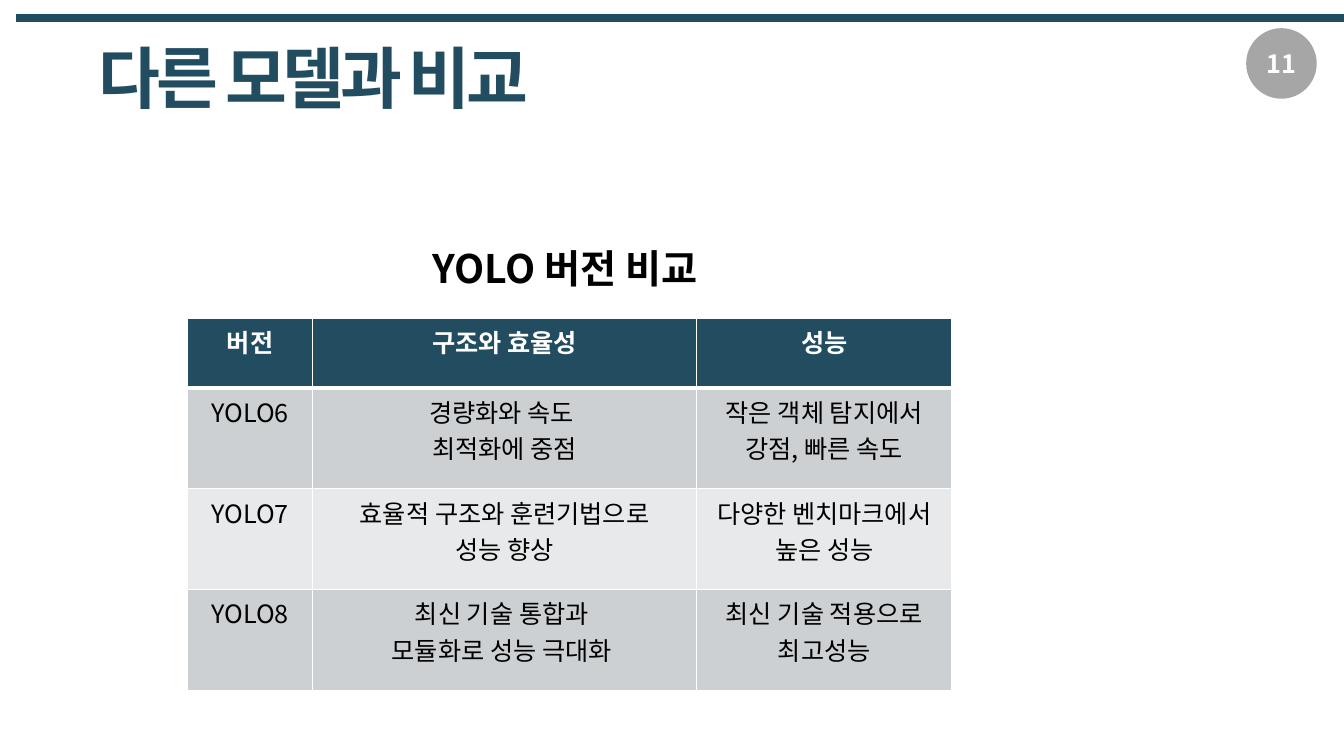
from dataclasses import dataclass
from lxml import etree
from pptx import Presentation, util as u
from pptx.dml.color import RGBColor
from pptx.enum import shapes, text
from pptx.oxml import ns

TITLE = "다른 모델과 비교"
PAGE = "11"
CAPTION = "YOLO 버전 비교"
ROWS = [
    [["버전"], ["구조와 효율성"], ["성능"]],
    [["YOLO6"], ["경량화와 속도 ", "최적화에 중점"], ["작은 객체 탐지에서 강점, 빠른 속도"]],
    [["YOLO7"], ["효율적 구조와 훈련기법으로", "성능 향상"], ["다양한 벤치마크에서 높은 성능"]],
    [["YOLO8"], ["최신 기술 통합과 ", "모듈화로 성능 극대화 "], ["최신 기술 적용으로", "최고성능"]],
]
COLS = [1.24, 3.81, 2.53]
HEIGHTS = [0.69] + [1] * (len(ROWS) - 1)
SLIDE = (13.33, 7.5)


@dataclass(frozen=True)
class Theme:
    font: str = "Noto Sans CJK KR"
    navy: str = "224D60"
    badge: str = "A6A6A6"
    white: str = "FFFFFF"
    black: str = "000000"
    bands: tuple = ("E8E9EA", "CDD0D2")
    title: int = 48
    caption: int = 28
    body: int = 18


T = Theme()
rgb = RGBColor.from_string
LEFT, CENTER = text.PP_ALIGN.LEFT, text.PP_ALIGN.CENTER


def inches(*values):
    return [u.Inches(v) for v in values]


def write(tf, lines, size, color, bold=True, align=LEFT):
    for i, line in enumerate(lines):
        p = tf.add_paragraph() if i else tf.paragraphs[0]
        p.alignment = align
        r = p.add_run()
        r.text = line
        r.font.name, r.font.size, r.font.bold = T.font, u.Pt(size), bold
        r.font.color.rgb = rgb(color)
        ea = etree.SubElement(r.font._element, ns.qn("a:ea"))
        ea.set("typeface", T.font)


def border(cell, side, points):
    ln = etree.SubElement(cell._tc.get_or_add_tcPr(), ns.qn(f"a:ln{side}"), w=str(u.Pt(points)))
    fill = etree.SubElement(ln, ns.qn("a:solidFill"))
    etree.SubElement(fill, ns.qn("a:srgbClr"), val=T.white)


def add_rule(s):
    line = s.shapes.add_connector(shapes.MSO_CONNECTOR.STRAIGHT, *inches(0.16, 0.18, SLIDE[0], 0.18))
    line.line.color.rgb = rgb(T.navy)
    line.line.width = u.Pt(6)
    etree.SubElement(line._element.spPr, ns.qn("a:effectLst"))


def add_title(s):
    sp = s.shapes.title
    sp.left, sp.top, sp.width, sp.height = inches(0.88, 0.31, 5.01, 0.91)
    tf = sp.text_frame
    tf.auto_size = text.MSO_AUTO_SIZE.NONE
    tf.word_wrap = False
    tf.vertical_anchor = text.MSO_ANCHOR.MIDDLE
    write(tf, [TITLE], T.title, T.navy)
    tf.paragraphs[0].runs[0].font._element.set("spc", "-300")


def add_badge(s):
    sp = s.shapes.add_shape(shapes.MSO_SHAPE.OVAL, *inches(12.36, 0.28, 0.7, 0.7))
    sp.shadow.inherit = False
    sp.fill.solid()
    sp.fill.fore_color.rgb = rgb(T.badge)
    sp.line.fill.background()
    tf = sp.text_frame
    tf.vertical_anchor = text.MSO_ANCHOR.MIDDLE
    write(tf, [PAGE], T.body, T.white, align=CENTER)


def add_versions(s):
    box = inches(1.86, 3.16, sum(COLS), sum(HEIGHTS))
    table = s.shapes.add_table(len(ROWS), len(COLS), *box).table
    for col, width in zip(table.columns, COLS):
        col.width = u.Inches(width)
    for i, (row, height) in enumerate(zip(ROWS, HEIGHTS)):
        table.rows[i].height = u.Inches(height)
        header = i == 0
        for j, lines in enumerate(row):
            cell = table.cell(i, j)
            for side in "LRTB":
                thick = (header and side == "B") or (i == 1 and side == "T")
                border(cell, side, 3 if thick else 1)
            cell.fill.solid()
            cell.fill.fore_color.rgb = rgb(T.navy if header else T.bands[i % 2])
            write(cell.text_frame, lines, T.body, T.white if header else T.black, header, CENTER)


def add_caption(s):
    tf = s.shapes.add_textbox(*inches(4.19, 2.37, SLIDE[0] - 4.19, 0.57)).text_frame
    tf.word_wrap = True
    write(tf, [CAPTION], T.caption, T.black)


def main():
    prs = Presentation()
    prs.slide_width, prs.slide_height = inches(*SLIDE)
    s = prs.slides.add_slide(prs.slide_layouts[5])
    for add in (add_rule, add_badge, add_title, add_versions, add_caption):
        add(s)
    prs.save("out.pptx")


if __name__ == "__main__":
    main()
